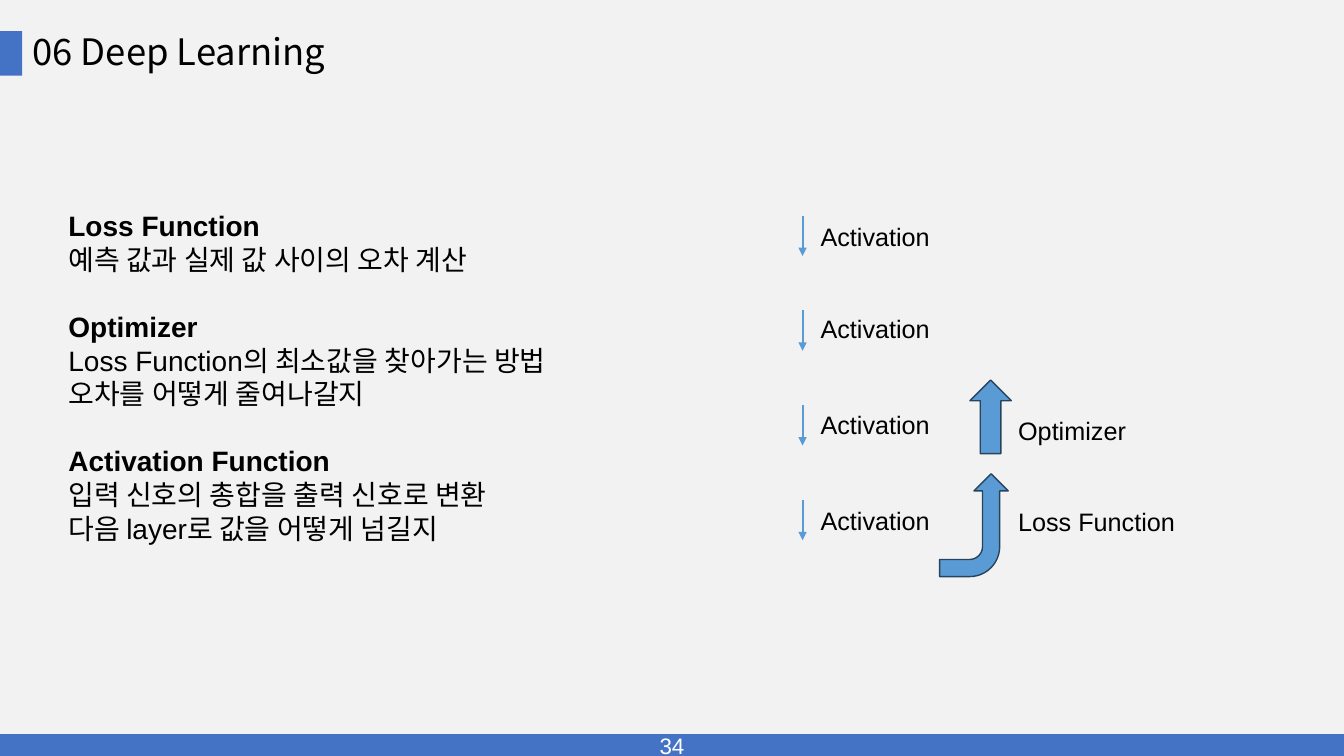
import pptx
import pptx.util
import pptx.dml.color
import pptx.enum.shapes
import pptx.enum.text
import pptx.oxml
import pptx.oxml.ns

Inches = pptx.util.Inches
Pt = pptx.util.Pt
RGBColor = pptx.dml.color.RGBColor
Shape = pptx.enum.shapes.MSO_SHAPE
Anchor = pptx.enum.text.MSO_ANCHOR
Align = pptx.enum.text.PP_ALIGN
AutoSize = pptx.enum.text.MSO_AUTO_SIZE

BACKGROUND = RGBColor(0xF2, 0xF2, 0xF2)
BAR_BLUE = RGBColor(0x44, 0x72, 0xC4)
ARROW_BLUE = RGBColor(0x5B, 0x9B, 0xD5)
ARROW_EDGE = RGBColor(0x28, 0x44, 0x5D)
BLACK = RGBColor(0, 0, 0)
WHITE = RGBColor(0xFF, 0xFF, 0xFF)

deck = pptx.Presentation()
deck.slide_width = Inches(13.33)
deck.slide_height = Inches(7.5)
page = deck.slides.add_slide(deck.slide_layouts[5])
page.background.fill.solid()
page.background.fill.fore_color.rgb = BACKGROUND


def add_filled(kind, left, top, width, height, fill, edge=None):
    shape = page.shapes.add_shape(
        kind, Inches(left), Inches(top), Inches(width), Inches(height))
    shape.shadow.inherit = False
    shape.fill.solid()
    shape.fill.fore_color.rgb = fill
    if edge is None:
        shape.line.fill.background()
    else:
        shape.line.color.rgb = edge
        shape.line.width = Pt(1)
    return shape


def style(para, size, color=BLACK, name="Arial", bold=False):
    para.font.size = Pt(size)
    para.font.color.rgb = color
    para.font.name = name
    para.font.bold = bold


footer = add_filled(Shape.RECTANGLE, 0, 7.29, 13.33, 0.21, BAR_BLUE, BAR_BLUE)
footer.text_frame.text = "34"
footer.text_frame.vertical_anchor = Anchor.MIDDLE
footer.text_frame.paragraphs[0].alignment = Align.CENTER
style(footer.text_frame.paragraphs[0], 16, WHITE)

add_filled(Shape.RECTANGLE, 0, 0.31, 0.22, 0.44, BAR_BLUE)

title = page.shapes.title
title.left, title.top = Inches(0.22), Inches(0.31)
title.width, title.height = Inches(12.7), Inches(0.44)
title.text_frame.text = "06 Deep Learning"
title.text_frame.auto_size = AutoSize.NONE
title.text_frame.vertical_anchor = Anchor.MIDDLE
heading = title.text_frame.paragraphs[0]
heading.alignment = Align.LEFT
heading.line_spacing = 0.9
style(heading, 26, name="Noto Sans CJK KR")

definitions = [
    ("Loss Function", ["예측 값과 실제 값 사이의 오차 계산"]),
    ("Optimizer", ["Loss Function의 최소값을 찾아가는 방법",
                   "오차를 어떻게 줄여나갈지"]),
    ("Activation Function", ["입력 신호의 총합을 출력 신호로 변환",
                             "다음 layer로 값을 어떻게 넘길지"]),
]
box = page.shapes.add_textbox(
    Inches(0.58), Inches(2.02), Inches(5.34), Inches(3.47))
box.text_frame.word_wrap = True
box.text_frame.auto_size = AutoSize.SHAPE_TO_FIT_TEXT
para = box.text_frame.paragraphs[0]
for index, (term, lines) in enumerate(definitions):
    if index > 0:
        para = box.text_frame.add_paragraph()
        para.space_before = Pt(24)
    para.text = term
    style(para, 20, bold=True)
    for line in lines:
        para = box.text_frame.add_paragraph()
        para.text = line
        style(para, 20)

for step in range(4):
    top = 2.14 + 0.94 * step
    arrow = page.shapes.add_connector(
        pptx.enum.shapes.MSO_CONNECTOR.STRAIGHT,
        Inches(7.96), Inches(top), Inches(7.96), Inches(top + 0.4))
    arrow.line.color.rgb = ARROW_BLUE
    arrow.line.width = Pt(1.5)
    head = pptx.oxml.parse_xml(
        f'<a:tailEnd {pptx.oxml.ns.nsdecls("a")} type="triangle"/>')
    arrow.line._get_or_add_ln().append(head)
    arrow._element.spPr.append(pptx.oxml.parse_xml(
        f'<a:effectLst {pptx.oxml.ns.nsdecls("a")}/>'))

loss_arrow = add_filled(
    Shape.BENT_ARROW, 9.15, 4.87, 1.02, 0.68, ARROW_BLUE, ARROW_EDGE)
loss_arrow.rotation = 90
loss_arrow._element.spPr.xfrm.set("flipH", "1")

optimizer_arrow = add_filled(
    Shape.RIGHT_ARROW, 9.46, 3.93, 0.73, 0.41, ARROW_BLUE, ARROW_EDGE)
optimizer_arrow.rotation = 270

labels = [("Loss Function", 10, 4.97, 1.77), ("Optimizer", 10, 4.07, 1.28)]
labels += [("Activation", 8.04, top, 1.3) for top in (2.15, 3.06, 4.01, 4.96)]
for text, left, top, width in labels:
    label = page.shapes.add_textbox(
        Inches(left), Inches(top), Inches(width), Inches(0.4))
    label.text_frame.word_wrap = False
    label.text_frame.auto_size = AutoSize.SHAPE_TO_FIT_TEXT
    label.text_frame.text = text
    style(label.text_frame.paragraphs[0], 18)

deck.save("out.pptx")
